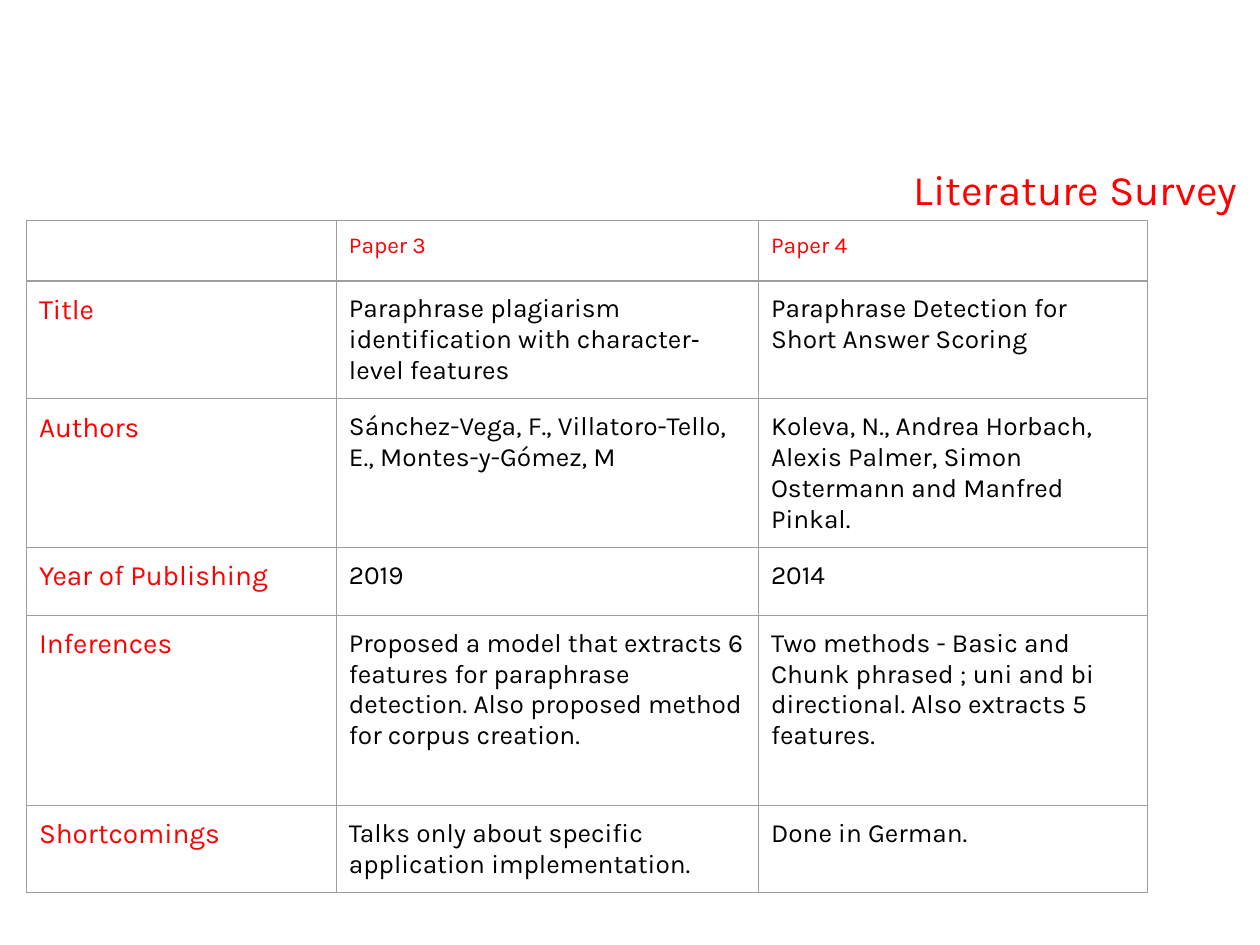
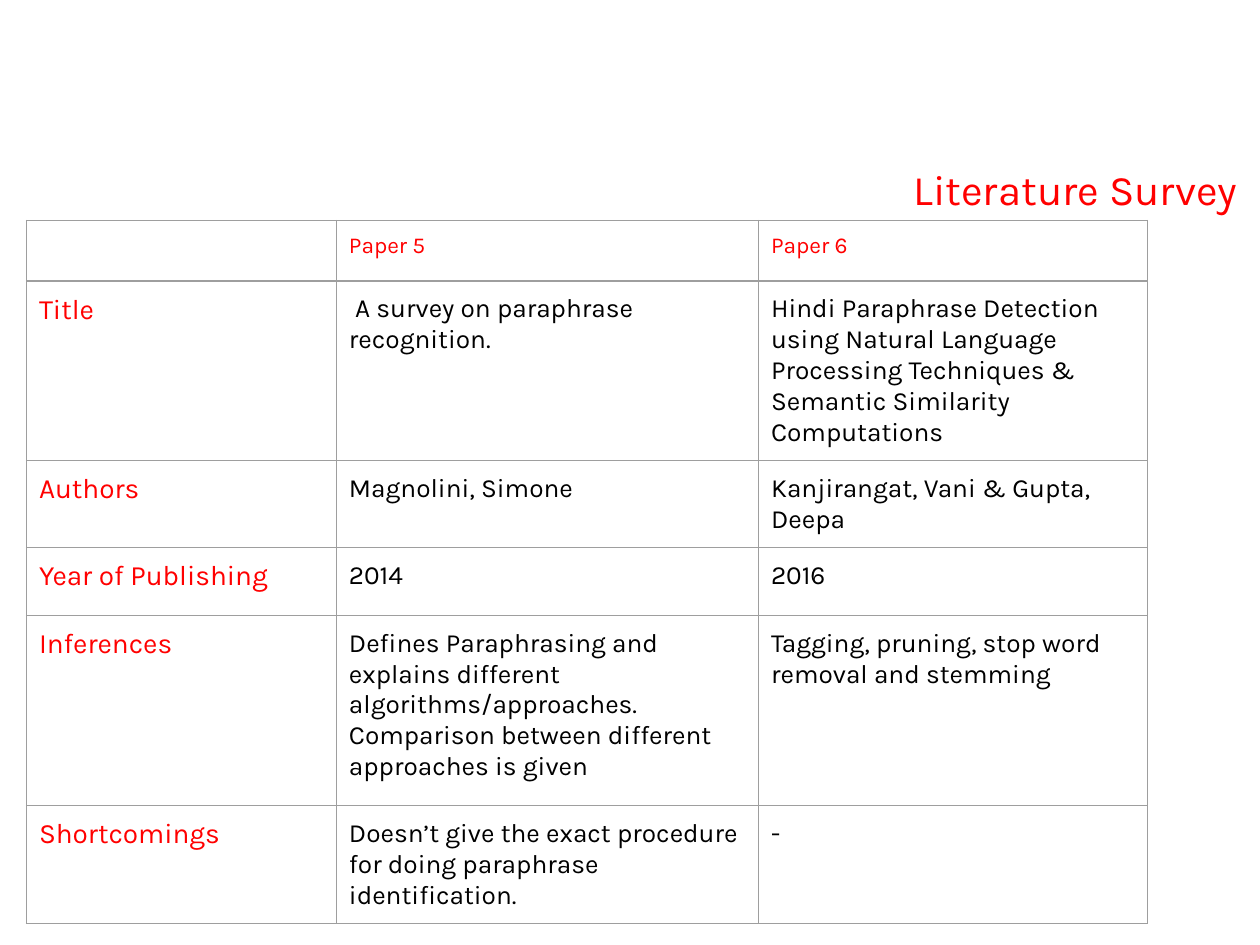
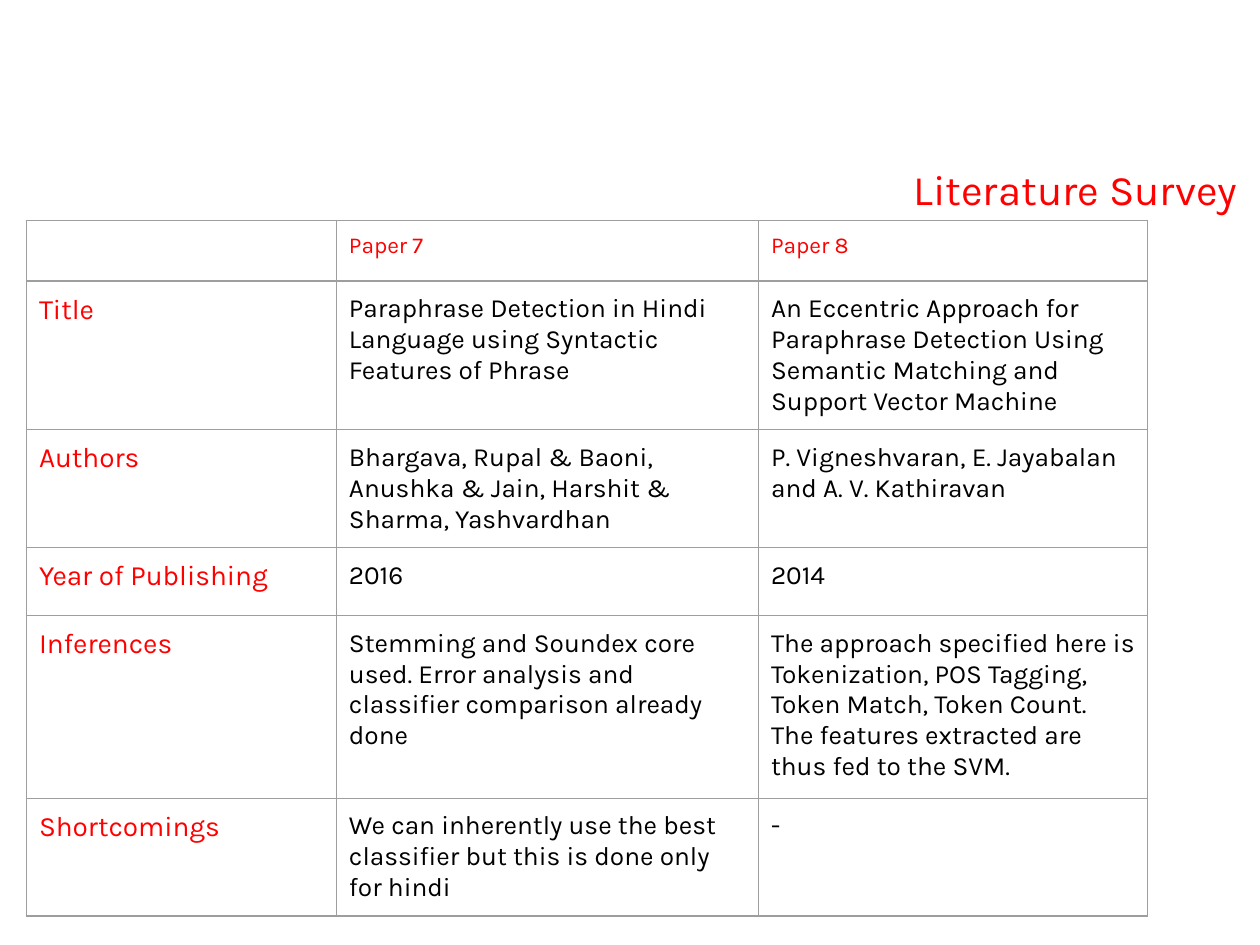
"""Build three literature survey slides, each comparing two papers in a table."""
import dataclasses
import typing

import lxml.etree
import pptx
import pptx.dml.color
import pptx.enum.text
import pptx.oxml.ns
import pptx.presentation
import pptx.slide
import pptx.table
import pptx.text.text
import pptx.util

SLIDE_WIDTH = pptx.util.Inches(10)
SLIDE_HEIGHT = pptx.util.Inches(7.5)
GRID_COLUMNS, GRID_ROWS = 100, 75

FONT = "Karla"
RED, BLACK, GRAY = "FF0000", "000000", "9E9E9E"
TITLE_SIZE, HEADER_SIZE, LABEL_SIZE, BODY_SIZE = 24, 13, 16, 15
BORDER_WIDTH = pptx.util.Pt(0.75)
CELL_MARGIN = pptx.util.Inches(0.1)

HEADING = "Literature Survey "
ROW_LABELS = ("Title", "Authors", "Year of Publishing", "Inferences", "Shortcomings")
TABLE_LEFT, TABLE_TOP = 2.1, 17.5
COLUMN_WIDTHS = (24.6, 33.5, 30.9)
UPPER_ROW_HEIGHTS = (4.7, 7.3, 6.8, 5.4)


@dataclasses.dataclass(frozen=True)
class Paper:
    """What the survey records about one paper."""

    number: int
    title: str
    authors: str
    year: int
    inferences: str
    shortcomings: str

    def entries(self) -> tuple[str, ...]:
        """Return the column's texts from header to last row."""
        return (f"Paper {self.number}", self.title, self.authors, str(self.year),
                self.inferences, self.shortcomings)


@dataclasses.dataclass(frozen=True)
class Survey:
    """Two papers compared on one slide, with the heights of the last two rows."""

    papers: tuple[Paper, Paper]
    lower_row_heights: tuple[float, float]


SURVEYS = (
    Survey((
        Paper(3, "Paraphrase plagiarism identification with character‐level features",
              "Sánchez-Vega, F., Villatoro-Tello, E., Montes-y-Gómez, M", 2019,
              "Proposed a model that extracts 6 features for paraphrase detection. "
              "Also proposed method for corpus creation.",
              "Talks only about specific application implementation."),
        Paper(4, "Paraphrase Detection for Short Answer Scoring",
              "Koleva, N., Andrea Horbach, Alexis Palmer, Simon Ostermann and "
              "Manfred Pinkal.", 2014,
              "Two methods - Basic and Chunk phrased ; uni and bi directional. "
              "Also extracts 5 features.",
              "Done in German."),
    ), (15.1, 6.7)),
    Survey((
        Paper(5, " A survey on paraphrase recognition.", "Magnolini, Simone", 2014,
              "Defines Paraphrasing and explains different algorithms/approaches. "
              "Comparison between different approaches is given",
              "Doesn’t give the exact procedure for doing paraphrase identification."),
        Paper(6, "Hindi Paraphrase Detection using Natural Language Processing "
              "Techniques & Semantic Similarity Computations",
              "Kanjirangat, Vani & Gupta, Deepa", 2016,
              "Tagging, pruning, stop word removal and stemming", "-"),
    ), (15.1, 8.4)),
    Survey((
        Paper(7, "Paraphrase Detection in Hindi Language using Syntactic Features of Phrase",
              "Bhargava, Rupal & Baoni, Anushka & Jain, Harshit & Sharma, Yashvardhan", 2016,
              "Stemming and Soundex core used. Error analysis and classifier "
              "comparison already done",
              "We can inherently use the best classifier but this is done only for hindi"),
        Paper(8, "An Eccentric Approach for Paraphrase Detection Using Semantic "
              "Matching and Support Vector Machine",
              "P. Vigneshvaran, E. Jayabalan and A. V. Kathiravan", 2014,
              "The approach specified here is Tokenization, POS Tagging, Token Match, "
              "Token Count.\nThe features extracted are thus fed to the SVM.", "-"),
    ), (14.5, 8.9)),
)


def across(columns: float) -> int:
    """Convert grid columns to a length."""
    return round(SLIDE_WIDTH * columns / GRID_COLUMNS)


def down(rows: float) -> int:
    """Convert grid rows to a length."""
    return round(SLIDE_HEIGHT * rows / GRID_ROWS)


def color(value: str) -> pptx.dml.color.RGBColor:
    """Convert a hex string to a colour."""
    return pptx.dml.color.RGBColor.from_string(value)


def write(frame: pptx.text.text.TextFrame, text: str, *, size: float, fill: str,
          align: typing.Optional[pptx.enum.text.PP_ALIGN] = None) -> None:
    """Fill a text frame with one formatted paragraph per line of text."""
    for index, line in enumerate(text.split("\n")):
        para = frame.add_paragraph() if index else frame.paragraphs[0]
        para.alignment = align
        span = para.add_run()
        span.text = line
        span.font.name = FONT
        span.font.size = pptx.util.Pt(size)
        span.font.bold = False
        span.font.color.rgb = color(fill)


def add_borders(cell: pptx.table._Cell) -> None:
    """Draw a thin gray line on each side of a cell."""
    properties = cell._tc.get_or_add_tcPr()
    for index, side in enumerate(("lnL", "lnR", "lnT", "lnB")):
        line = lxml.etree.Element(pptx.oxml.ns.qn(f"a:{side}"), w=str(BORDER_WIDTH))
        solid = lxml.etree.SubElement(line, pptx.oxml.ns.qn("a:solidFill"))
        lxml.etree.SubElement(solid, pptx.oxml.ns.qn("a:srgbClr"), val=GRAY)
        properties.insert(index, line)


def format_title(page: pptx.slide.Slide) -> None:
    """Place the heading at the right, just above the table."""
    box = page.shapes.title
    box.left, box.top = across(29.2), down(12.5)
    box.width, box.height = across(70.8), down(5)
    frame = box.text_frame
    frame.word_wrap = True
    frame.auto_size = pptx.enum.text.MSO_AUTO_SIZE.NONE
    frame.vertical_anchor = pptx.enum.text.MSO_ANCHOR.TOP
    frame.margin_left = frame.margin_right = pptx.util.Inches(0.1)
    frame.margin_top = frame.margin_bottom = pptx.util.Inches(0.05)
    write(frame, HEADING, size=TITLE_SIZE, fill=RED,
          align=pptx.enum.text.PP_ALIGN.RIGHT)


def fill_cell(cell: pptx.table._Cell, text: str, *, size: float, fill: str) -> None:
    """Format one table cell and write its text."""
    cell.fill.background()
    add_borders(cell)
    cell.margin_left = cell.margin_right = CELL_MARGIN
    cell.margin_top = cell.margin_bottom = CELL_MARGIN
    write(cell.text_frame, text, size=size, fill=fill)


def add_survey_table(page: pptx.slide.Slide, survey: Survey) -> None:
    """Add the table of row labels and two paper columns."""
    heights = UPPER_ROW_HEIGHTS + survey.lower_row_heights
    table = page.shapes.add_table(
        len(heights), len(COLUMN_WIDTHS), across(TABLE_LEFT), down(TABLE_TOP),
        across(sum(COLUMN_WIDTHS)), down(sum(heights))).table
    table.first_row = table.horz_banding = False
    for column, width in zip(table.columns, COLUMN_WIDTHS):
        column.width = across(width)
    for row, height in zip(table.rows, heights):
        row.height = down(height)
    texts = (("", *ROW_LABELS), *(paper.entries() for paper in survey.papers))
    for column_index, entries in enumerate(texts):
        for row_index, text in enumerate(entries):
            if row_index == 0:
                size, fill = HEADER_SIZE, RED
            elif column_index == 0:
                size, fill = LABEL_SIZE, RED
            else:
                size, fill = BODY_SIZE, BLACK
            fill_cell(table.cell(row_index, column_index), text, size=size, fill=fill)


def add_survey_page(deck: pptx.presentation.Presentation, survey: Survey) -> None:
    """Add one slide with the heading and the survey table."""
    page = deck.slides.add_slide(deck.slide_layouts[5])
    format_title(page)
    add_survey_table(page, survey)


def main() -> None:
    """Build and save the deck."""
    deck = pptx.Presentation()
    deck.slide_width, deck.slide_height = SLIDE_WIDTH, SLIDE_HEIGHT
    for survey in SURVEYS:
        add_survey_page(deck, survey)
    deck.save("out.pptx")


if __name__ == "__main__":
    main()
